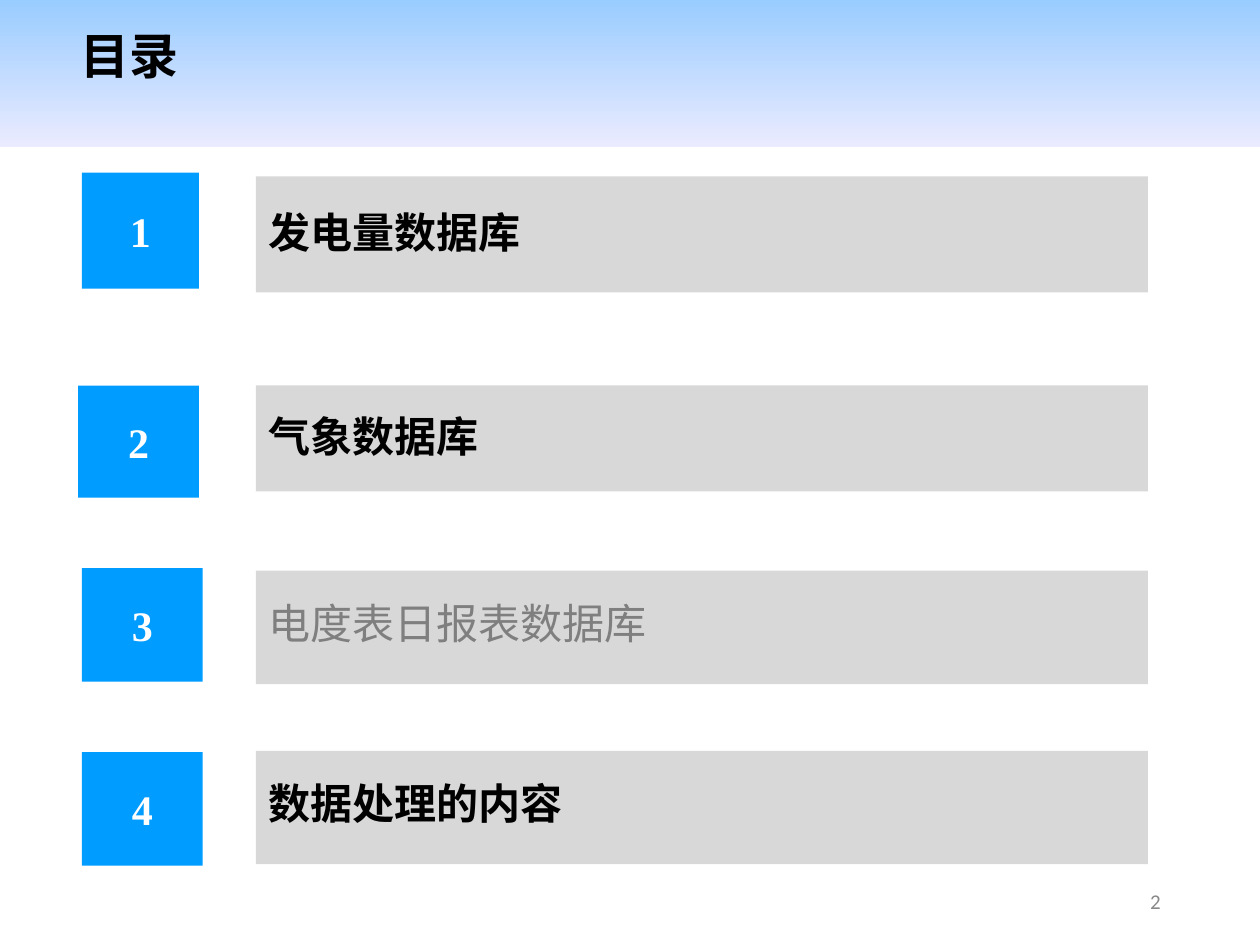
import dataclasses
import typing

import lxml.etree
import pptx
import pptx.dml.color
import pptx.enum.shapes
import pptx.enum.text
import pptx.oxml.ns
import pptx.util

Inches = pptx.util.Inches
Align = pptx.enum.text.PP_ALIGN
Box = typing.Tuple[float, float, float, float]

COLORS = {
    "top": "99CCFF", "base": "EBEBFF", "tile": "009CFF", "bar": "D8D8D8",
    "black": "000000", "white": "FFFFFF", "dim": "7F7F7F", "page": "898989",
}
HAN = "Noto Sans CJK SC"
BAR_LEFT, BAR_WIDTH = 2.03, 7.08

# Text formats
TITLE = {"size": 28, "name": "Arial", "bold": True, "color": "black"}
DIGIT = {"size": 24, "name": "Times New Roman", "bold": True, "color": "white"}
TOPIC = {"size": 24, "name": HAN, "bold": True, "color": "black"}
FAINT = {**TOPIC, "bold": False, "color": "dim"}
PAGE = {"size": 12, "name": "Calibri", "bold": False, "color": "page"}


@dataclasses.dataclass
class Row:
    text: str
    tile: Box
    top: float
    height: float
    lead: float
    form: dict


ROWS = [
    Row("发电量数据库", (0.65, 1.37, 0.93, 0.92), 1.4, 0.92, 0.9, TOPIC),
    Row("气象数据库", (0.62, 3.06, 0.96, 0.89), 3.06, 0.84, 0.9, TOPIC),
    Row("电度表日报表数据库", (0.65, 4.51, 0.96, 0.9), 4.53, 0.9, 0.8, FAINT),
    Row("数据处理的内容", (0.65, 5.97, 0.96, 0.9), 5.96, 0.9, 0.8, TOPIC),
]


def get_color(key: str) -> pptx.dml.color.RGBColor:
    return pptx.dml.color.RGBColor.from_string(COLORS[key])


def add_rect(slide, box: Box):
    kind = pptx.enum.shapes.MSO_SHAPE.RECTANGLE
    rect = slide.shapes.add_shape(kind, *map(Inches, box))
    rect.shadow.inherit = False
    rect.line.fill.background()
    return rect


def add_block(slide, box: Box, key: str):
    rect = add_rect(slide, box)
    rect.fill.solid()
    rect.fill.fore_color.rgb = get_color(key)
    return rect


def set_text(shape, text: str, form: dict, align: Align, lead: float = 1.0) -> None:
    frame = shape.text_frame
    frame.word_wrap = True
    frame.vertical_anchor = pptx.enum.text.MSO_ANCHOR.MIDDLE
    para = frame.paragraphs[0]
    para.alignment = align
    para.line_spacing = lead
    run = para.add_run()
    run.text = text
    values = {**form, "size": pptx.util.Pt(form["size"])}
    run.font.color.rgb = get_color(values.pop("color"))
    for key, value in values.items():
        setattr(run.font, key, value)
    # Chinese glyphs take the East Asian typeface
    east = lxml.etree.SubElement(run.font._element, pptx.oxml.ns.qn("a:ea"))
    east.set("typeface", HAN)


def add_label(slide, box: Box, text: str, form: dict, align: Align,
              lead: float = 1.0) -> None:
    label = slide.shapes.add_textbox(*map(Inches, box))
    set_text(label, text, form, align, lead)


def add_row(slide, num: int, row: Row) -> None:
    tile = add_block(slide, row.tile, "tile")
    set_text(tile, str(num), DIGIT, Align.CENTER)
    bar = add_block(slide, (BAR_LEFT, row.top, BAR_WIDTH, row.height), "bar")
    set_text(bar, row.text, row.form, Align.LEFT, row.lead)


def main() -> None:
    deck = pptx.Presentation()
    deck.slide_width, deck.slide_height = Inches(10), Inches(7.5)
    slide = deck.slides.add_slide(deck.slide_layouts[6])

    # Header band, fading downwards
    band = add_rect(slide, (0, 0, 10, 1.17))
    band.fill.gradient()
    band.fill.gradient_angle = 270
    for stop, key in zip(band.fill.gradient_stops, ("top", "base")):
        stop.color.rgb = get_color(key)

    # Title and page number
    add_label(slide, (-0.2, 0.02, 2.46, 0.92), "目录", TITLE, Align.CENTER, 0.8)
    add_label(slide, (7.06, 6.95, 2.25, 0.4), "2", PAGE, Align.RIGHT)

    # Contents
    for num, row in enumerate(ROWS, 1):
        add_row(slide, num, row)

    deck.save("out.pptx")


if __name__ == "__main__":
    main()
